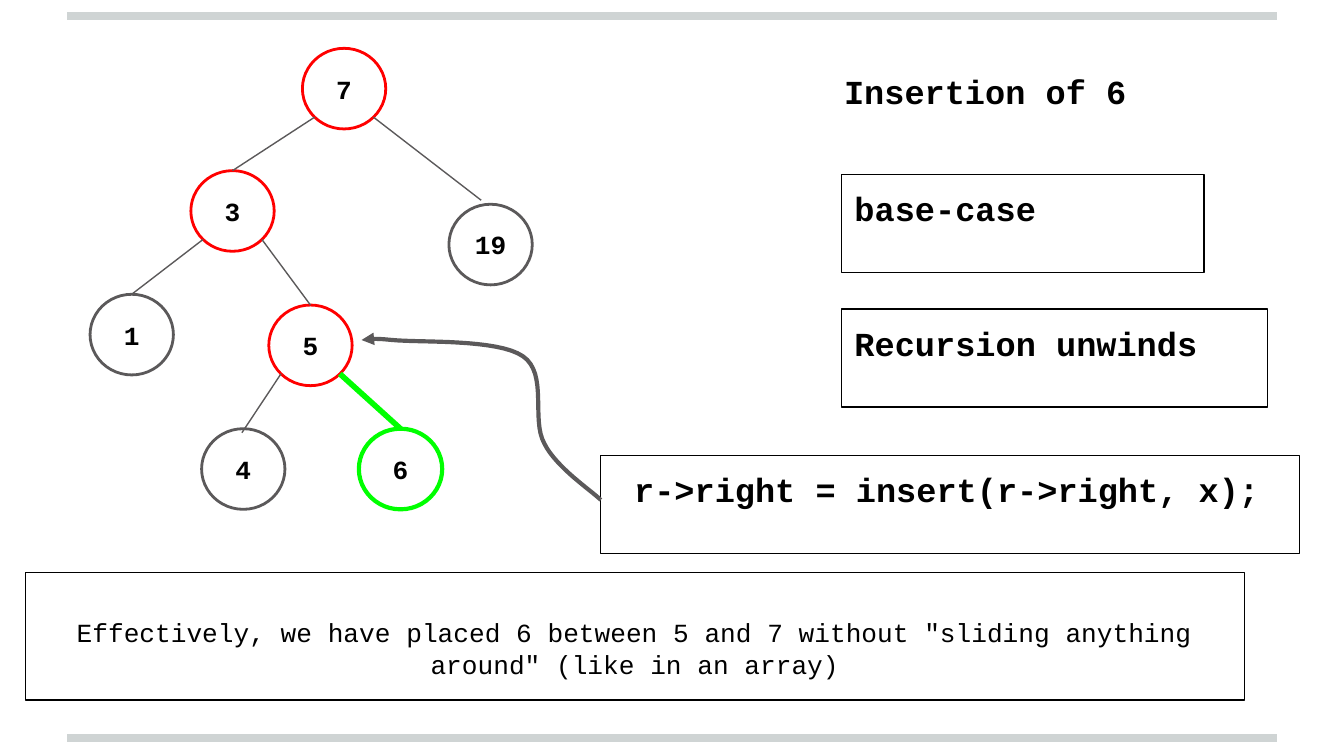
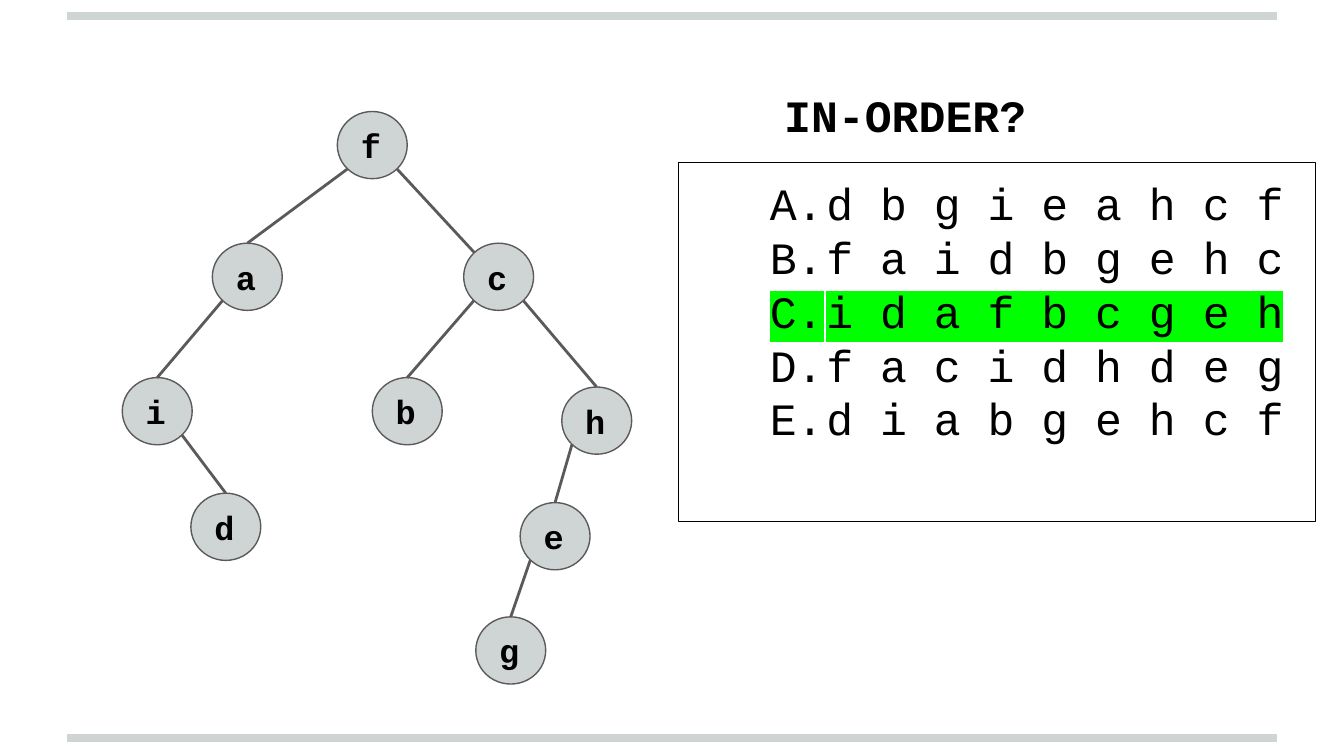
"""Build two slides on binary search trees: an insertion and an in-order quiz."""
from dataclasses import dataclass
from math import sqrt
from typing import NamedTuple, Optional

from lxml import etree
from pptx import Presentation
from pptx.dml.color import RGBColor
from pptx.enum.shapes import MSO_CONNECTOR, MSO_SHAPE
from pptx.enum.text import MSO_ANCHOR, MSO_AUTO_SIZE, PP_ALIGN
from pptx.oxml.ns import qn
from pptx.util import Inches, Pt

STRAIGHT = MSO_CONNECTOR.STRAIGHT
ELLIPSE, RECTANGLE = MSO_SHAPE.OVAL, MSO_SHAPE.RECTANGLE
TOP, MIDDLE = MSO_ANCHOR.TOP, MSO_ANCHOR.MIDDLE
LEFT, CENTER = PP_ALIGN.LEFT, PP_ALIGN.CENTER
NO_AUTOFIT = MSO_AUTO_SIZE.NONE

FONT = "Courier New"
BLACK, GRAY, SILVER = "000000", "5B595A", "CFD4D4"
RED, GREEN = "FF0000", "00FF00"
INSET = 0.1
TITLE_ONLY = 5


class Point(NamedTuple):
    x: float
    y: float


class Box(NamedTuple):
    left: float
    top: float
    width: float
    height: float


class TextStyle(NamedTuple):
    size: float
    bold: bool = True
    align: PP_ALIGN = LEFT
    anchor: MSO_ANCHOR = TOP
    top_inset: float = INSET


@dataclass
class Node:
    label: str
    left: float
    top: float
    color: str = GRAY
    weight: float = 1.5


@dataclass
class Edge:
    parent: str
    child: str
    end: Optional[Point] = None
    color: str = GRAY
    weight: float = 0.75


@dataclass
class TreeStyle:
    width: float
    height: float
    text: TextStyle
    fill: Optional[str] = None


@dataclass
class Panel:
    box: Box
    text: str
    style: TextStyle


HEADING = TextStyle(18)
INSERT_TREE = TreeStyle(0.62, 0.6, TextStyle(14, align=CENTER, anchor=MIDDLE))
QUIZ_TREE = TreeStyle(0.52, 0.5, TextStyle(18, anchor=MIDDLE), SILVER)

INSERT_NODES = [
    Node("7", 2.25, 0.36, RED),
    Node("3", 1.42, 1.27, RED),
    Node("5", 2, 2.27, RED),
    Node("4", 1.5, 3.19),
    Node("1", 0.67, 2.19),
    Node("19", 3.34, 1.52),
    Node("6", 2.67, 3.19, GREEN, 2.25),
]
INSERT_EDGES = [
    Edge("7", "3"),
    Edge("3", "5"),
    Edge("7", "19", Point(3.58, 1.49)),
    Edge("3", "1"),
    Edge("5", "4", Point(1.8, 3.22)),
    Edge("5", "6", color=GREEN, weight=3),
]
INSERT_PANELS = [
    Panel(Box(6.26, 1.3, 2.7, 0.73), "base-case", HEADING),
    Panel(Box(6.26, 2.3, 3.17, 0.73), "Recursion unwinds", HEADING),
    Panel(Box(4.47, 3.39, 5.2, 0.73), " r->right = insert(r->right, x);", HEADING),
    Panel(
        Box(0.19, 4.26, 9.07, 0.95),
        "Effectively, we have placed 6 between 5 and 7 without "
        '"sliding anything around" (like in an array)',
        TextStyle(14, False, CENTER, top_inset=0.33),
    ),
]
CALL_ARROW = [
    Point(4.47, 3.72), Point(4.4, 3.65), Point(4.14, 3.48), Point(4.05, 3.3),
    Point(3.95, 3.12), Point(4.08, 2.78), Point(3.89, 2.65),
    Point(3.7, 2.52), Point(3.12, 2.55), Point(2.92, 2.53),
    Point(2.72, 2.51), Point(2.72, 2.53), Point(2.69, 2.53),
]

QUIZ_NODES = [
    Node(label, left, top, weight=0.75)
    for label, left, top in [
        ("f", 2.51, 0.83), ("a", 1.58, 1.81), ("i", 0.91, 2.81),
        ("c", 3.45, 1.81), ("d", 1.42, 3.67), ("b", 2.77, 2.81),
        ("h", 4.18, 2.88), ("e", 3.87, 3.74), ("g", 3.54, 4.59),
    ]
]
QUIZ_EDGES = [
    Edge(parent, child, end, weight=1.5)
    for parent, child, end in [
        ("f", "a", None), ("f", "c", Point(3.53, 1.88)), ("a", "i", None),
        ("i", "d", None), ("c", "b", None), ("c", "h", None),
        ("h", "e", None), ("e", "g", None),
    ]
]
ANSWERS = [
    "d b g i e a h c f",
    "f a i d b g e h c",
    "i d a f b c g e h",
    "f a c i d h d e g",
    "d i a b g e h c f",
]
CORRECT = 2


def rgb(color: str) -> RGBColor:
    """Turn a hex string into a colour."""
    return RGBColor.from_string(color)


def add_child(parent, tag: str, **attributes: str):
    """Append a DrawingML element."""
    return etree.SubElement(parent, qn(tag), attributes)


def format_frame(tf, style: TextStyle) -> None:
    """Set wrapping, anchor and insets of a text frame."""
    tf.word_wrap = True
    tf.auto_size = NO_AUTOFIT
    tf.vertical_anchor = style.anchor
    tf.margin_left = tf.margin_right = tf.margin_bottom = Inches(INSET)
    tf.margin_top = Inches(style.top_inset)


def format_paragraph(p, style: TextStyle) -> None:
    """Set alignment and font of a paragraph."""
    p.alignment = style.align
    p.font.name = FONT
    p.font.size = Pt(style.size)
    p.font.bold = style.bold
    p.font.color.rgb = rgb(BLACK)


def write_text(tf, text: str, style: TextStyle) -> None:
    """Fill a text frame with one paragraph."""
    format_frame(tf, style)
    p = tf.paragraphs[0]
    p.text = text
    format_paragraph(p, style)


def add_line(s, start: Point, end: Point, color: str, weight: float) -> None:
    """Draw a straight line without a shadow."""
    line = s.shapes.add_connector(
        STRAIGHT, *(Inches(v) for v in (*start, *end))
    )
    line.line.color.rgb = rgb(color)
    line.line.width = Pt(weight)
    add_child(line._element.spPr, "a:effectLst")


def add_outlined(s, kind: MSO_SHAPE, box: Box, color: str, weight: float,
                 fill: Optional[str] = None):
    """Draw a preset shape with an outline and an optional fill."""
    sp = s.shapes.add_shape(kind, *(Inches(v) for v in box))
    sp.shadow.inherit = False
    if fill:
        sp.fill.solid()
        sp.fill.fore_color.rgb = rgb(fill)
    else:
        sp.fill.background()
    sp.line.color.rgb = rgb(color)
    sp.line.width = Pt(weight)
    return sp


def add_slide(prs, title: str, box: Box, style: TextStyle):
    """Add a slide with its title and the two grey bands."""
    s = prs.slides.add_slide(prs.slide_layouts[TITLE_ONLY])
    for y in (5.49, 0.12):
        add_line(s, Point(0.5, y), Point(9.5, y), SILVER, 4)
    sp = s.shapes.title
    sp.left, sp.top, sp.width, sp.height = (Inches(v) for v in box)
    write_text(sp.text_frame, title, style)
    return s


def draw_tree(s, nodes: list[Node], edges: list[Edge], style: TreeStyle) -> None:
    """Draw nodes, and edges from a parent's lower side to a child's top."""
    for node in nodes:
        box = Box(node.left, node.top, style.width, style.height)
        sp = add_outlined(s, ELLIPSE, box, node.color, node.weight, style.fill)
        write_text(sp.text_frame, node.label, style.text)
    by_label = {node.label: node for node in nodes}
    half_width, half_height = style.width / 2, style.height / 2
    for edge in edges:
        parent, child = by_label[edge.parent], by_label[edge.child]
        side = 1 if child.left > parent.left else -1
        start = Point(
            parent.left + half_width * (1 + side / sqrt(2)),
            parent.top + half_height * (1 + 1 / sqrt(2)),
        )
        end = edge.end or Point(child.left + half_width, child.top)
        add_line(s, start, end, edge.color, edge.weight)


def bezier(a: Point, b: Point, c: Point, d: Point, t: float) -> Point:
    """Return the point at t on a cubic curve."""
    u = 1 - t
    return Point(*(
        u**3 * i + 3 * u**2 * t * j + 3 * u * t**2 * k + t**3 * m
        for i, j, k, m in zip(a, b, c, d)
    ))


def draw_curved_arrow(s, controls: list[Point], steps: int = 16) -> None:
    """Draw a chain of cubic curves that ends in an arrowhead."""
    points = [
        bezier(*controls[i:i + 4], step / steps)
        for i in range(0, len(controls) - 1, 3)
        for step in range(1, steps + 1)
    ]
    builder = s.shapes.build_freeform(*(Inches(v) for v in controls[0]))
    builder.add_line_segments(
        [(Inches(p.x), Inches(p.y)) for p in points], close=False
    )
    sp = builder.convert_to_shape()
    sp.shadow.inherit = False
    sp.fill.background()
    sp.line.color.rgb = rgb(GRAY)
    sp.line.width = Pt(2.25)
    add_child(sp.line._get_or_add_ln(), "a:tailEnd", type="triangle")


def draw_answers(s, box: Box, style: TextStyle) -> None:
    """List the lettered answers and highlight the correct one."""
    tf = add_outlined(s, RECTANGLE, box, BLACK, 0.75).text_frame
    format_frame(tf, style)
    for i, answer in enumerate(ANSWERS):
        p = tf.add_paragraph() if i else tf.paragraphs[0]
        r = p.add_run()
        r.text = answer
        props = p._p.get_or_add_pPr()
        props.set("marL", str(Inches(1)))
        props.set("indent", str(Inches(-0.42)))
        add_child(add_child(props, "a:buClr"), "a:srgbClr", val=BLACK)
        add_child(props, "a:buFont", typeface=FONT)
        add_child(props, "a:buAutoNum", type="alphaUcPeriod")
        format_paragraph(p, style)
        if i == CORRECT:
            mark = add_child(r._r.get_or_add_rPr(), "a:highlight")
            add_child(mark, "a:srgbClr", val=GREEN)


def main() -> None:
    """Build and save the slides."""
    prs = Presentation()
    prs.slide_width = Inches(10)
    prs.slide_height = Inches(10) * 9 // 16

    s = add_slide(prs, "Insertion of 6", Box(6.18, 0.14, 2.7, 1.03),
                  TextStyle(18, top_inset=0.39))
    draw_tree(s, INSERT_NODES, INSERT_EDGES, INSERT_TREE)
    for panel in INSERT_PANELS:
        sp = add_outlined(s, RECTANGLE, panel.box, BLACK, 0.75)
        write_text(sp.text_frame, panel.text, panel.style)
    draw_curved_arrow(s, CALL_ARROW)

    s = add_slide(prs, "IN-ORDER?", Box(5.57, 0.55, 2.33, 0.7),
                  TextStyle(24, align=CENTER))
    draw_tree(s, QUIZ_NODES, QUIZ_EDGES, QUIZ_TREE)
    draw_answers(s, Box(5.05, 1.21, 4.74, 2.67), TextStyle(24, False))
    prs.save("out.pptx")


if __name__ == "__main__":
    main()
